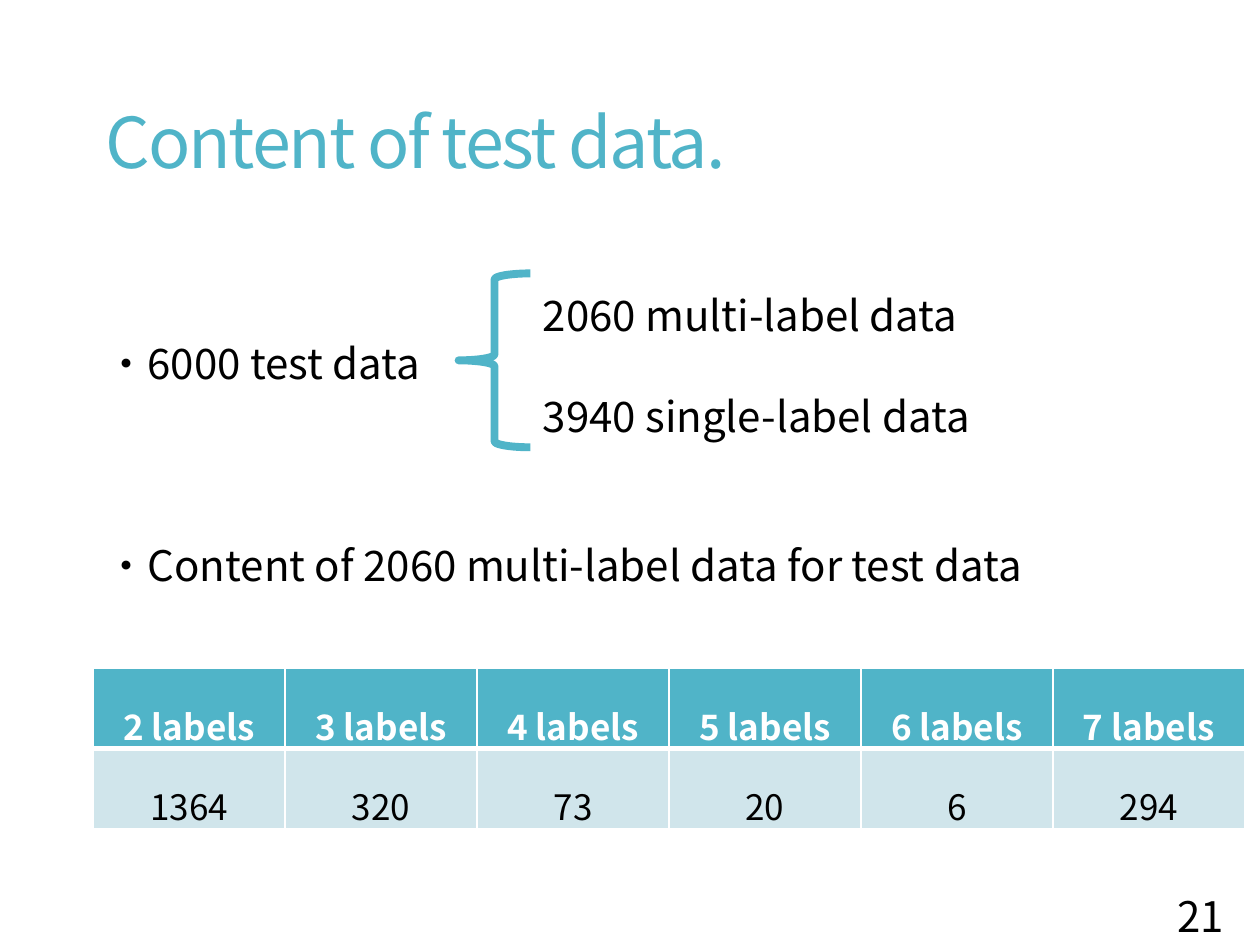
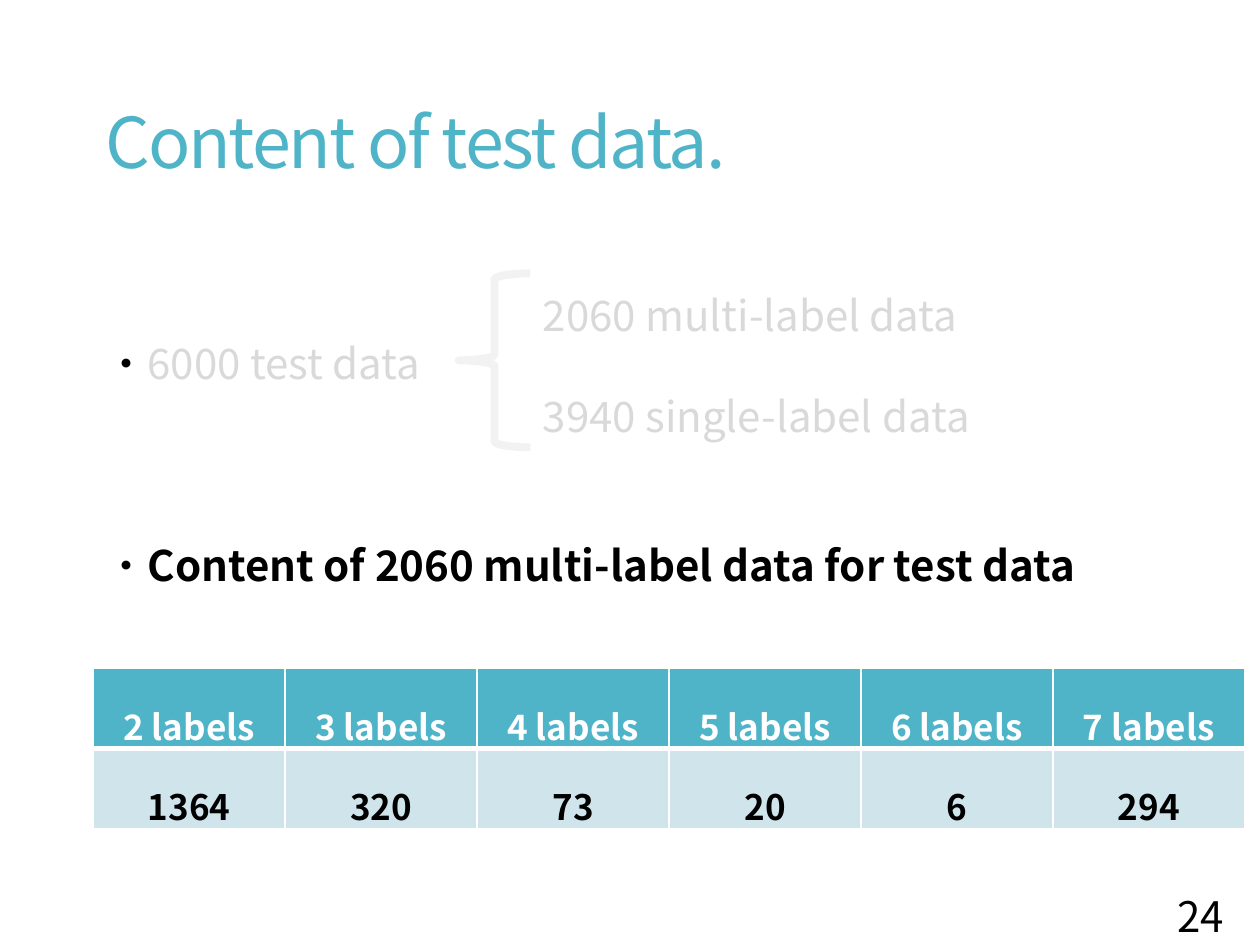
from lxml.etree import SubElement
from pptx import Presentation
from pptx.dml.color import RGBColor
from pptx.enum.shapes import MSO_SHAPE as SHAPE
from pptx.enum.text import MSO_ANCHOR as ANCHOR, PP_ALIGN as ALIGN
from pptx.oxml.ns import qn
from pptx.util import Inches, Pt

FONT = "Noto Sans CJK JP"
TEAL, PALE, WHITE, BLACK = "50B4C8", "D0E5EB", "FFFFFF", "000000"
DIM_TEXT, DIM_LINE = "D9D9D9", "F2F2F2"

TITLE = "Content of test data."
BULLET = "・"
TOTAL = "6000 test data"
PARTS = ["2060 multi-label data", "3940 single-label data"]
BREAKDOWN = "Content of 2060 multi-label data for test data"
COUNTS = {"2 labels": 1364, "3 labels": 320, "4 labels": 73,
          "5 labels": 20, "6 labels": 6, "7 labels": 294}

# The second slide dims the split and stresses the breakdown.
SLIDES = [
    dict(number=21, split=BLACK, brace=TEAL, stress=False),
    dict(number=24, split=DIM_TEXT, brace=DIM_LINE, stress=True),
]

LEFT = 0.74
LINE = 28.8  # height of one 24 pt line, in points
TABLE_TOP, TABLE_WIDTH, ROW_HEIGHT = 5.3, 9.14, 0.64


def color(value):
    """Turn a hex string into a colour."""
    return RGBColor.from_string(value)


def add_run(p, text, size=24, fill=BLACK, bold=False, spacing=None):
    """Add a run in the deck's font to a paragraph."""
    r = p.add_run()
    r.text = text
    for name, value in dict(name=FONT, size=Pt(size), bold=bold).items():
        setattr(r.font, name, value)
    r.font.color.rgb = color(fill)
    rPr = r.font._element
    SubElement(rPr, qn("a:ea"), typeface=FONT)
    if spacing is not None:
        rPr.set("spc", str(round(spacing * 100)))


def add_text(s, box, paragraphs, anchor=ANCHOR.TOP, **layout):
    """Add a text box; each paragraph is a list of (text, format) runs."""
    tf = s.shapes.add_textbox(*map(Inches, box)).text_frame
    tf.word_wrap, tf.vertical_anchor = True, anchor
    for i, runs in enumerate(paragraphs):
        p = tf.add_paragraph() if i else tf.paragraphs[0]
        for name, value in layout.items():
            setattr(p, name, value)
        for text, style in runs:
            add_run(p, text, **style)


def add_borders(cell, **widths):
    """Give a cell white borders, widths in points by side (L, R, T, B)."""
    tcPr = cell._tc.get_or_add_tcPr()
    for side, width in widths.items():
        ln = SubElement(tcPr, qn(f"a:ln{side}"), w=str(Pt(width)))
        SubElement(SubElement(ln, qn("a:solidFill")), qn("a:srgbClr"), val=WHITE)


def add_counts(s, stress):
    """Add the table of counts per number of labels."""
    box = LEFT, TABLE_TOP, TABLE_WIDTH, 2 * ROW_HEIGHT
    table = s.shapes.add_table(2, len(COUNTS), *map(Inches, box)).table
    rows = [
        (COUNTS.keys(), TEAL, dict(fill=WHITE, bold=True), dict(T=1, B=3)),
        (COUNTS.values(), PALE, dict(fill=BLACK, bold=stress), dict(T=3, B=1)),
    ]
    for i, (values, fill, style, edges) in enumerate(rows):
        for j, value in enumerate(values):
            cell = table.cell(i, j)
            add_borders(cell, L=1, R=1, **edges)
            cell.fill.solid()
            cell.fill.fore_color.rgb = color(fill)
            p = cell.text_frame.paragraphs[0]
            p.alignment, p.line_spacing = ALIGN.CENTER, 1.5
            add_run(p, str(value), size=20, **style)


def add_brace(s, line):
    """Add the brace between the total and its parts."""
    sp = s.shapes.add_shape(SHAPE.LEFT_BRACE, *map(Inches, (3.64, 2.17, 0.57, 1.38)))
    sp.shadow.inherit = False
    sp.fill.background()
    sp.line.color.rgb = color(line)
    sp.line.width = Pt(4.5)


def build_slide(prs, number, split, brace, stress):
    """Build one slide about the test data."""
    s = prs.slides.add_slide(prs.slide_layouts[6])
    add_text(s, (LEFT, 0.6, 8.84, 1.11),
             [[(TITLE, dict(size=40, fill=TEAL, spacing=-1.2))]],
             ANCHOR.MIDDLE, line_spacing=0.9)
    add_counts(s, stress)
    add_text(s, (LEFT, 2.63, 8.84, 2.12),
             [[(BULLET, {}), (TOTAL, dict(fill=split))],
              [(BULLET, {}), (BREAKDOWN, dict(bold=stress))]],
             space_after=Pt(3 * LINE))
    add_text(s, (4.21, 2.25, 3.85, 1.62),
             [[(part, dict(fill=split))] for part in PARTS],
             space_after=Pt(LINE))
    add_brace(s, brace)
    add_text(s, (8.54, 6.98, 1.27, 0.58), [[(str(number), {})]],
             ANCHOR.MIDDLE, alignment=ALIGN.RIGHT)


prs = Presentation()
prs.slide_width, prs.slide_height = Inches(10), Inches(7.5)
for content in SLIDES:
    build_slide(prs, **content)
prs.save("out.pptx")
